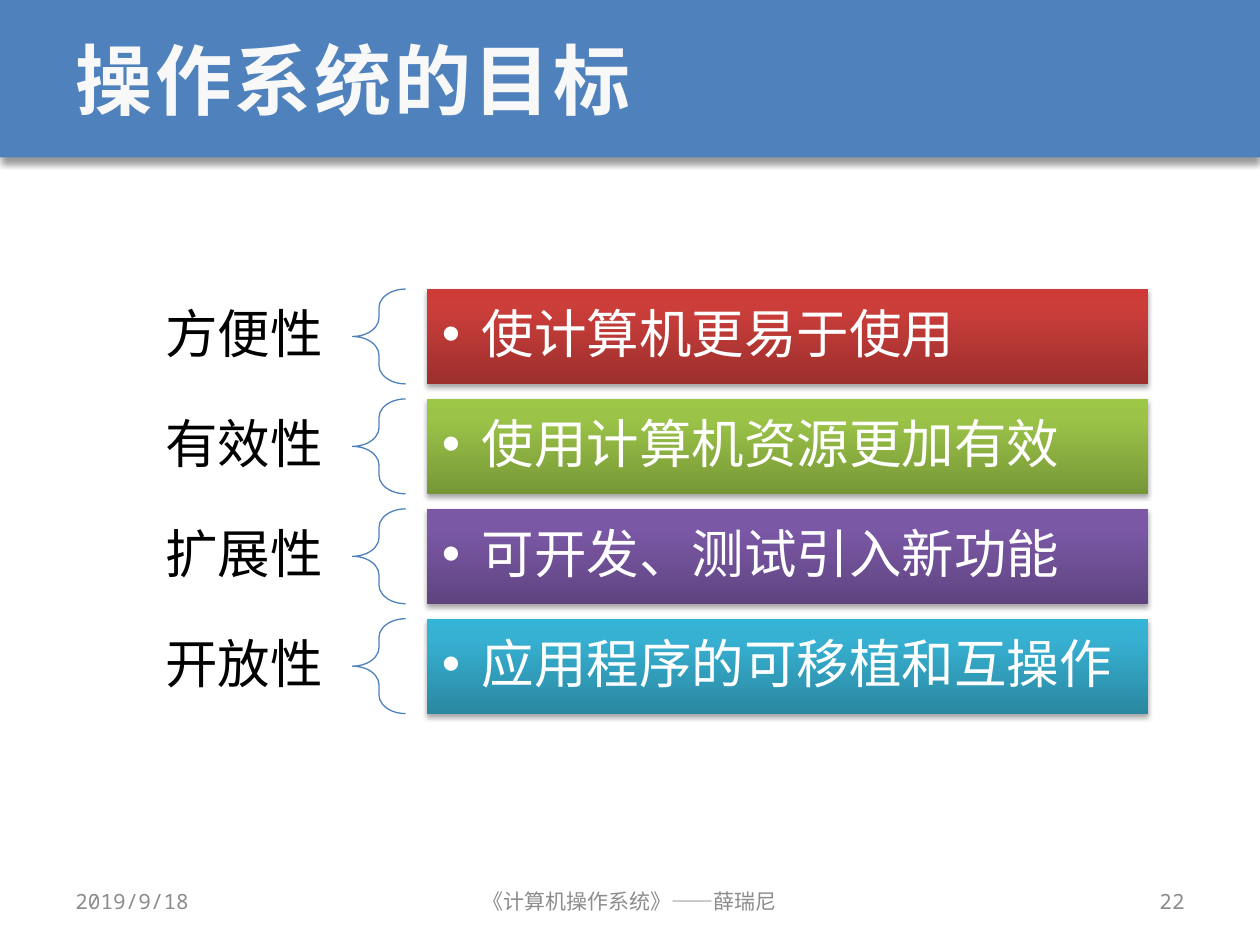
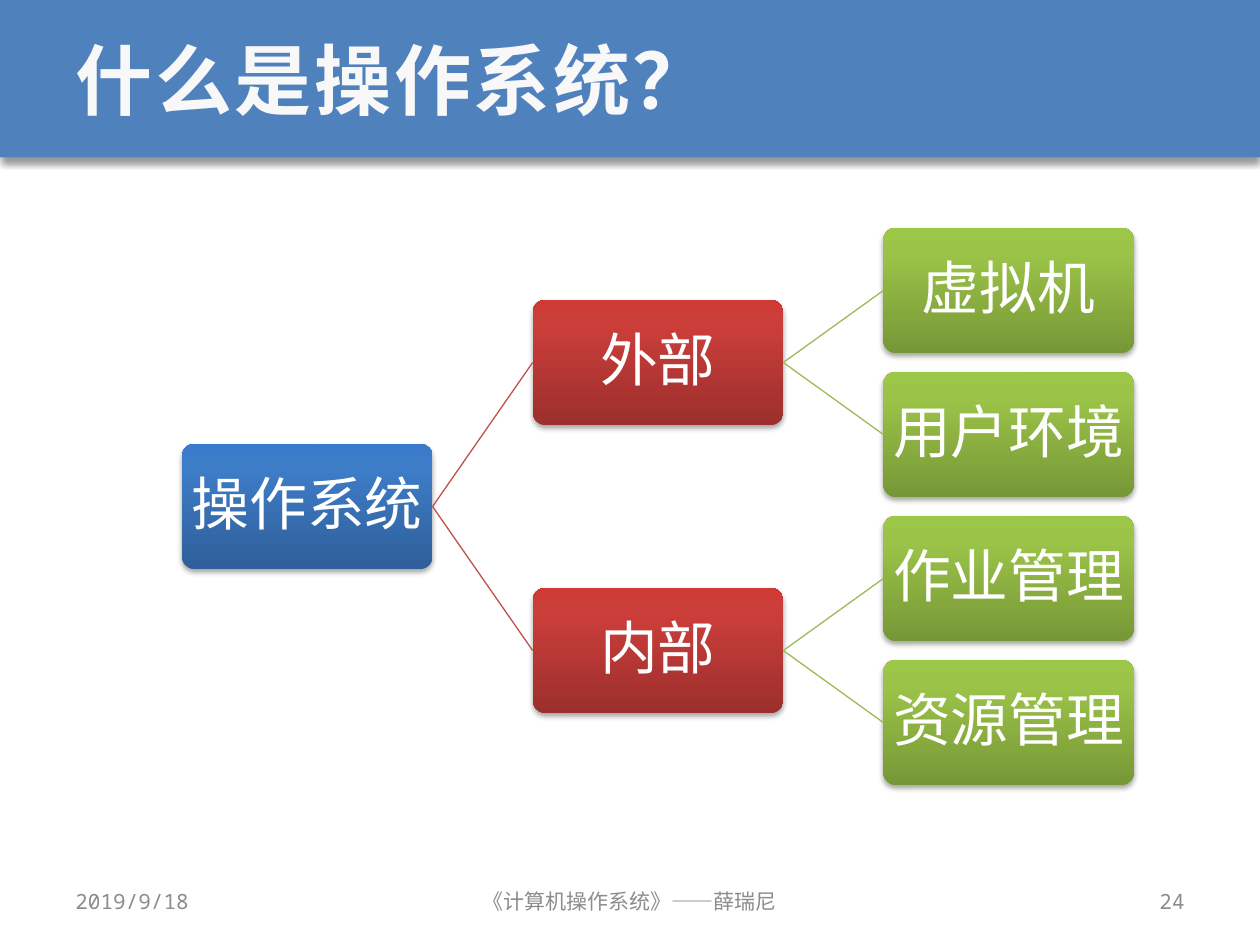
from dataclasses import dataclass

from lxml import etree
from pptx import Presentation
from pptx.dml.color import RGBColor
from pptx.enum.shapes import MSO_CONNECTOR, MSO_SHAPE
from pptx.enum.text import MSO_ANCHOR, PP_ALIGN
from pptx.oxml.ns import qn
from pptx.util import Pt

RECT, ROUNDED, BRACE = MSO_SHAPE.RECTANGLE, MSO_SHAPE.ROUNDED_RECTANGLE, MSO_SHAPE.LEFT_BRACE
STRAIGHT = MSO_CONNECTOR.STRAIGHT
LEFT, CENTER, RIGHT = PP_ALIGN.LEFT, PP_ALIGN.CENTER, PP_ALIGN.RIGHT
MIDDLE = MSO_ANCHOR.MIDDLE
LEFT_SIDE, RIGHT_SIDE = 1, 3

# Content
DATE = "2019/9/18"
FOOTER = "《计算机操作系统》——薛瑞尼"
GOALS_TITLE, GOALS_NUMBER = "操作系统的目标", "22"
GOALS = [
    ("方便性", "使计算机更易于使用", "red"),
    ("有效性", "使用计算机资源更加有效", "green"),
    ("扩展性", "可开发、测试引入新功能", "purple"),
    ("开放性", "应用程序的可移植和互操作", "cyan"),
]
TREE_TITLE, TREE_NUMBER = "什么是操作系统？", "24"
TREE = ("操作系统", [
    ("外部", [("虚拟机", []), ("用户环境", [])]),
    ("内部", [("作业管理", []), ("资源管理", [])]),
])
LEVEL_GRADIENTS = ["blue", "red", "green"]
LEVEL_LINES = ["4F81BD", "C0504D", "9BBB59"]


@dataclass(frozen=True)
class Theme:
    band: str = "4F81BD"
    title: str = "F8F8F8"
    footer: str = "8C8C8C"
    dark: str = "000000"
    light: str = "FFFFFF"
    heading_font: str = "Noto Sans Mono"
    body_font: str = "Arial"
    title_size: int = 44
    node_size: int = 33
    goal_size: int = 30
    footer_size: int = 12
    line_width: float = 0.75


THEME = Theme()
# Gradient colours from bottom to top
GRADIENTS = {
    "blue": ("2F5F99", "3D7CC7", "3A7CCB"),
    "red": ("9C2F2D", "CB3E3A", "CE3B37"),
    "green": ("779737", "9BC348", "9DC746"),
    "purple": ("5F4480", "7B58A6", "7C57A8"),
    "cyan": ("2A88A2", "37B1D2", "34B4D6"),
}
GRADIENT_STOPS = (0, 80, 100)
# Shadow opacity in percent, blur and distance in points
BAND_SHADOW = (40, 4, 3)
BOX_SHADOW = (35, 3.1, 1.8)
TITLE_TEXT = dict(size=Pt(THEME.title_size), name=THEME.heading_font, bold=True)
FOOTER_TEXT = dict(size=Pt(THEME.footer_size), name=THEME.heading_font)
GOAL_TEXT = dict(size=Pt(THEME.goal_size), name=THEME.body_font)
NODE_TEXT = dict(size=Pt(THEME.node_size), name=THEME.body_font)

# Geometry in points
WIDTH, HEIGHT, BAND_HEIGHT, MARGIN = 720, 540, 90, 36
FOOTER_TOP, FOOTER_HEIGHT = 500.5, 28.7
GOAL_TOP, GOAL_HEIGHT, GOAL_GAP = 165.2, 54.2, 8.6
LABEL_LEFT, LABEL_WIDTH = 16.6, 184.4
BRACE_LEFT, BRACE_WIDTH = 201.4, 30.4
BAR_LEFT, BAR_WIDTH, BULLET_INDENT = 244, 412, 22.7
NODE_LEFT, NODE_TOP, NODE_WIDTH, NODE_HEIGHT = 104, 130.2, 143.2, 71.6
LEVEL_PITCH, LEAF_PITCH = 200.4, 82.3


# Formatting helpers
def add_xml(parent, tag, **attributes):
    return etree.SubElement(parent, qn(tag), {k: str(v) for k, v in attributes.items()})


def add_shadow(shape, opacity, blur, distance):
    effects = add_xml(shape.element.spPr, "a:effectLst")
    shadow = add_xml(effects, "a:outerShdw", blurRad=Pt(blur), dist=Pt(distance),
                     dir=5400000, rotWithShape=0)
    color = add_xml(shadow, "a:srgbClr", val=THEME.dark)
    add_xml(color, "a:alpha", val=opacity * 1000)


def fill_gradient(shape, colors):
    shape.fill.gradient()
    gradient = shape.element.spPr.find(qn("a:gradFill"))
    for child in list(gradient):
        gradient.remove(child)
    stops = add_xml(gradient, "a:gsLst")
    for position, color in zip(GRADIENT_STOPS, colors):
        stop = add_xml(stops, "a:gs", pos=position * 1000)
        add_xml(stop, "a:srgbClr", val=color)
    add_xml(gradient, "a:lin", ang=16200000, scaled=0)


def write(shape, text, style, color, align, insets=(7.2, 3.6), spacing=None,
          tracking=None, bullet=False, east_asian=True):
    frame = shape.text_frame
    frame.text = text
    side, edge = map(Pt, insets)
    layout = dict(word_wrap=True, vertical_anchor=MIDDLE, margin_left=side,
                  margin_right=side, margin_top=edge, margin_bottom=edge)
    for key, value in layout.items():
        setattr(frame, key, value)
    paragraph = frame.paragraphs[0]
    if bullet:
        properties = paragraph._p.get_or_add_pPr()
        properties.set("marL", str(Pt(BULLET_INDENT)))
        properties.set("indent", str(-Pt(BULLET_INDENT)))
        add_xml(properties, "a:buFont", typeface=THEME.body_font)
        add_xml(properties, "a:buChar", char="•")
    paragraph.alignment = align
    if spacing:
        paragraph.line_spacing = spacing
    font = paragraph.runs[0].font
    for key, value in style.items():
        setattr(font, key, value)
    font.color.rgb = RGBColor.from_string(color)
    run_properties = paragraph.runs[0]._r.get_or_add_rPr()
    run_properties.set("lang", "zh-CN")
    if tracking:
        run_properties.set("spc", str(round(tracking * 100)))
    if east_asian:
        add_xml(run_properties, "a:ea", typeface=style["name"])


def add_box(slide, kind, left, top, width, height, gradient):
    box = slide.shapes.add_shape(kind, Pt(left), Pt(top), Pt(width), Pt(height))
    fill_gradient(box, GRADIENTS[gradient])
    box.line.fill.background()
    add_shadow(box, *BOX_SHADOW)
    return box


def add_text(slide, left, top, width, height, *content, **options):
    box = slide.shapes.add_textbox(Pt(left), Pt(top), Pt(width), Pt(height))
    write(box, *content, **options)


# Shared frame
def add_band(slide):
    """Draw the title band and move it to the layout, behind every slide."""
    band = slide.shapes.add_shape(RECT, 0, 0, Pt(WIDTH), Pt(BAND_HEIGHT))
    band.fill.solid()
    band.fill.fore_color.rgb = RGBColor.from_string(THEME.band)
    band.line.fill.background()
    add_shadow(band, *BAND_SHADOW)
    slide.slide_layout.shapes.element.insert(2, band.element)


def add_slide(prs, title, number):
    slide = prs.slides.add_slide(prs.slide_layouts[5])
    heading = slide.shapes.title
    place = dict(left=MARGIN, top=0, width=WIDTH - 2 * MARGIN, height=BAND_HEIGHT)
    for key, value in place.items():
        setattr(heading, key, Pt(value))
    write(heading, title, TITLE_TEXT, THEME.title, LEFT, tracking=1.5)
    footers = [
        (MARGIN, 168, DATE, LEFT),
        (246, 228, FOOTER, CENTER),
        (516, 168, number, RIGHT),
    ]
    for left, width, text, align in footers:
        add_text(slide, left, FOOTER_TOP, width, FOOTER_HEIGHT,
                 text, FOOTER_TEXT, THEME.footer, align, east_asian=False)
    return slide


# Slide: goals
def draw_goals(slide):
    for row, (label, goal, gradient) in enumerate(GOALS):
        top = GOAL_TOP + row * (GOAL_HEIGHT + GOAL_GAP)
        add_text(slide, LABEL_LEFT, top, LABEL_WIDTH, GOAL_HEIGHT, label, GOAL_TEXT,
                 THEME.dark, RIGHT, insets=(16.6, 5.8), spacing=0.9)
        brace = slide.shapes.add_shape(BRACE, Pt(BRACE_LEFT), Pt(top),
                                       Pt(BRACE_WIDTH), Pt(GOAL_HEIGHT))
        brace.adjustments[0] = 0.35
        brace.shadow.inherit = False
        brace.fill.background()
        brace.line.color.rgb = RGBColor.from_string(THEME.band)
        brace.line.width = Pt(THEME.line_width)
        bar = add_box(slide, RECT, BAR_LEFT, top, BAR_WIDTH, GOAL_HEIGHT, gradient)
        write(bar, goal, GOAL_TEXT, THEME.light, LEFT, insets=(8.6, 8.6),
              spacing=0.9, bullet=True)


# Slide: tree
def count_leaves(node):
    return sum(map(count_leaves, node[1])) or 1


def join(slide, parent, child, color):
    branch = slide.shapes.add_connector(STRAIGHT, 0, 0, 0, 0)
    branch.begin_connect(parent, RIGHT_SIDE)
    branch.end_connect(child, LEFT_SIDE)
    branch.line.color.rgb = RGBColor.from_string(color)
    branch.line.width = Pt(THEME.line_width)
    add_xml(branch._element.spPr, "a:effectLst")


def draw_tree(slide, node, level=0, first_leaf=0):
    """Centre each node on the leaves below it and join it to its children."""
    name, children = node
    middle_row = first_leaf + (count_leaves(node) - 1) / 2
    box = add_box(slide, ROUNDED, NODE_LEFT + level * LEVEL_PITCH,
                  NODE_TOP + middle_row * LEAF_PITCH,
                  NODE_WIDTH, NODE_HEIGHT, LEVEL_GRADIENTS[level])
    box.adjustments[0] = 0.1
    write(box, name, NODE_TEXT, THEME.light, CENTER, insets=(1.4, 1.4), spacing=0.9)
    for child in children:
        child_box = draw_tree(slide, child, level + 1, first_leaf)
        join(slide, box, child_box, LEVEL_LINES[level + 1])
        first_leaf += count_leaves(child)
    return box


def main():
    prs = Presentation()
    prs.slide_width, prs.slide_height = Pt(WIDTH), Pt(HEIGHT)
    goals = add_slide(prs, GOALS_TITLE, GOALS_NUMBER)
    add_band(goals)
    draw_goals(goals)
    draw_tree(add_slide(prs, TREE_TITLE, TREE_NUMBER), TREE)
    prs.save("out.pptx")


if __name__ == "__main__":
    main()
